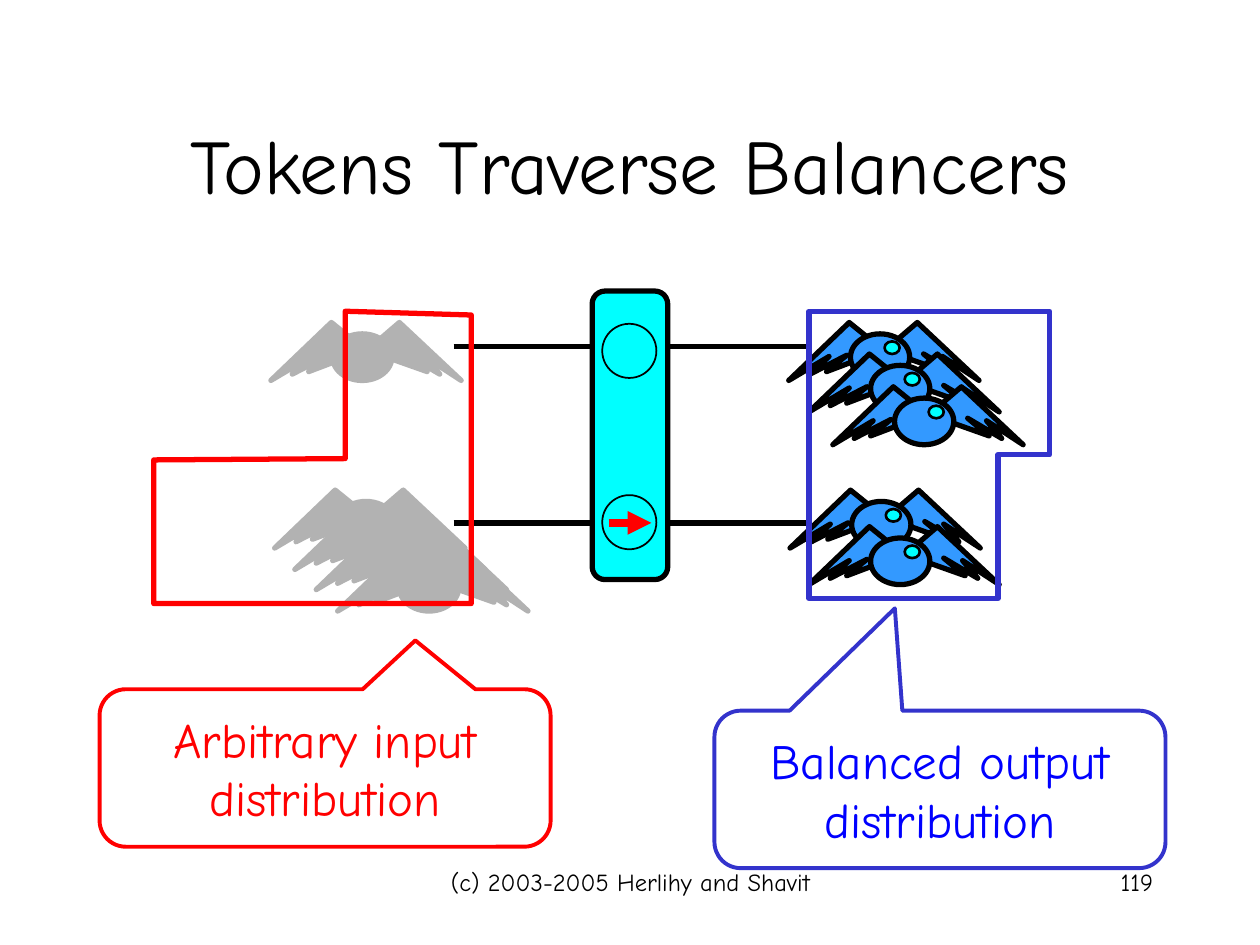
from lxml import etree
from pptx import Presentation
from pptx import util as u
from pptx.dml.color import RGBColor
from pptx.enum import shapes, text
from pptx.oxml.ns import qn

PX = 9144  # EMU; 100 px to the inch
FONT = "Comic Neue"
BLACK, RED, BLUE, NAVY = "000000", "FF0000", "0000FF", "3333CC"
GRAY, SKY, CYAN = "B2B2B2", "3399FF", "00FFFF"
KIND = shapes.MSO_SHAPE

# Bird parts, measured from the bird's top left corner
LEFT_WING = [(69, 17), (48, 0), (0, 46), (32, 27), (17, 41), (46, 26), (30, 39), (75, 22)]
RIGHT_WING = [(81, 18), (102, 0), (151, 46), (122, 27), (134, 41), (107, 25), (124, 39), (76, 22)]

INPUT_BIRDS = [(251, 422), (218, 389), (215, 256), (234, 406), (268, 439)]
OUTPUT_BIRDS = [(626, 256), (627, 389), (642, 281), (642, 418), (661, 307)]

INPUT_OUTLINE = [(374, 479), (374, 250), (274, 247), (274, 364), (122, 365), (122, 479)]
OUTPUT_OUTLINE = [(642, 247), (642, 475), (792, 475), (792, 361), (833, 361), (833, 247)]


def rgb(color):
    return RGBColor.from_string(color)


def px(*lengths):
    return [u.Emu(n * PX) for n in lengths]


def paint(sp, fill, line, width):
    sp.shadow.inherit = False
    if fill:
        sp.fill.solid()
        sp.fill.fore_color.rgb = rgb(fill)
    else:
        sp.fill.background()
    sp.line.color.rgb = rgb(line)
    sp.line.width = u.Pt(width)


def add_preset(parent, kind, box, fill, line, width):
    sp = parent.add_shape(kind, *px(*box))
    paint(sp, fill, line, width)
    return sp


def add_polygon(parent, points, fill, line, width=3):
    builder = parent.build_freeform(*points[0], scale=PX)
    builder.add_line_segments(points[1:], close=True)
    paint(builder.convert_to_shape(), fill, line, width)


def add_line(s, start, end, color, width, arrow=False):
    cn = s.shapes.add_connector(shapes.MSO_CONNECTOR.STRAIGHT, *px(*start, *end))
    cn.line.color.rgb = rgb(color)
    cn.line.width = u.Pt(width)
    if arrow:
        etree.SubElement(cn.line._get_or_add_ln(), qn("a:tailEnd"), type="triangle")
    etree.SubElement(cn._element.spPr, qn("a:effectLst"))


def add_bird(s, x, y, body, eye, line):
    parts = s.shapes.add_group_shape().shapes
    for wing in (RIGHT_WING, LEFT_WING):
        add_polygon(parts, [(x + dx, y + dy) for dx, dy in wing], body, line)
    add_preset(parts, KIND.OVAL, (x + 49, y + 9, 47, 37), body, line, 3)
    add_preset(parts, KIND.OVAL, (x + 76, y + 15, 12, 10), eye, line, 1.5)


def write(sp, lines, size, color, align, anchor, wrap=True):
    tf = sp.text_frame
    tf.word_wrap = wrap
    tf.vertical_anchor = anchor
    tf.text = "\n".join(lines)
    for p in tf.paragraphs:
        p.alignment = align
        p.font.size = u.Pt(size)
        p.font.name = FONT
        p.font.color.rgb = rgb(color)


def add_text(s, box, words, size, align=text.PP_ALIGN.CENTER, anchor=text.MSO_ANCHOR.TOP):
    write(s.shapes.add_textbox(*px(*box)), [words], size, BLACK, align, anchor)


def add_callout(s, left, top, tip, lines, line, color):
    """Add a callout; tip is the pointer's offset from the centre, as shares of the size."""
    sp = add_preset(s.shapes, KIND.ROUNDED_RECTANGULAR_CALLOUT,
                    (left, top, 358, 125), None, line, 2.25)
    sp.adjustments[0], sp.adjustments[1] = tip
    write(sp, lines, 28, color, text.PP_ALIGN.CENTER, text.MSO_ANCHOR.MIDDLE, wrap=False)


def add_balancer(s):
    for y in (275, 415):
        add_line(s, (360, y), (640, y), BLACK, 3)
    body = add_preset(s.shapes, KIND.ROUNDED_RECTANGLE, (470, 231, 60, 229), CYAN, BLACK, 3)
    body.adjustments[0] = 0.17
    add_line(s, (483, 415), (517, 415), RED, 4.5, arrow=True)
    for y in (257, 393):
        add_preset(s.shapes, KIND.OVAL, (478, y, 43, 43), None, BLACK, 1)


def main():
    prs = Presentation()
    prs.slide_width, prs.slide_height = px(1000, 750)
    s = prs.slides.add_slide(prs.slide_layouts[6])

    add_text(s, (75, 67, 850, 125), "Tokens Traverse Balancers", 44,
             anchor=text.MSO_ANCHOR.MIDDLE)
    for x, y in INPUT_BIRDS:
        add_bird(s, x, y, GRAY, GRAY, GRAY)
    add_balancer(s)
    for x, y in OUTPUT_BIRDS:
        add_bird(s, x, y, SKY, CYAN, BLACK)

    add_callout(s, 79, 547, (0.2, -0.81), ["Arbitrary input", "distribution"], RED, RED)
    add_callout(s, 567, 564, (-0.1, -1.15), ["Balanced output", "distribution"], NAVY, BLUE)
    add_polygon(s.shapes, INPUT_OUTLINE, None, RED)
    add_polygon(s.shapes, OUTPUT_OUTLINE, None, NAVY)

    add_text(s, (342, 683, 317, 50), "(c) 2003-2005 Herlihy and Shavit", 14)
    add_text(s, (717, 683, 208, 50), "119", 14, align=text.PP_ALIGN.RIGHT)
    prs.save("out.pptx")


if __name__ == "__main__":
    main()
